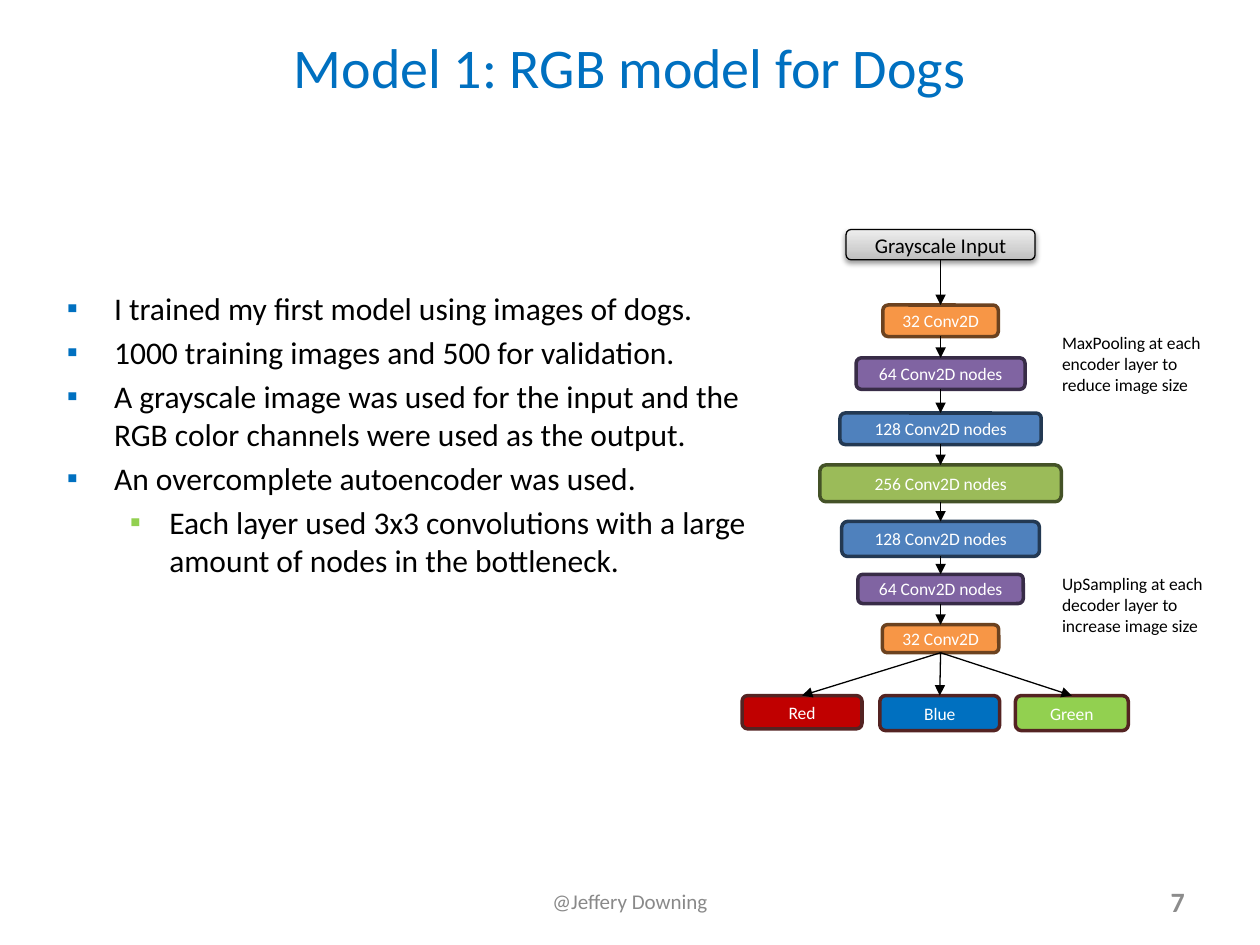
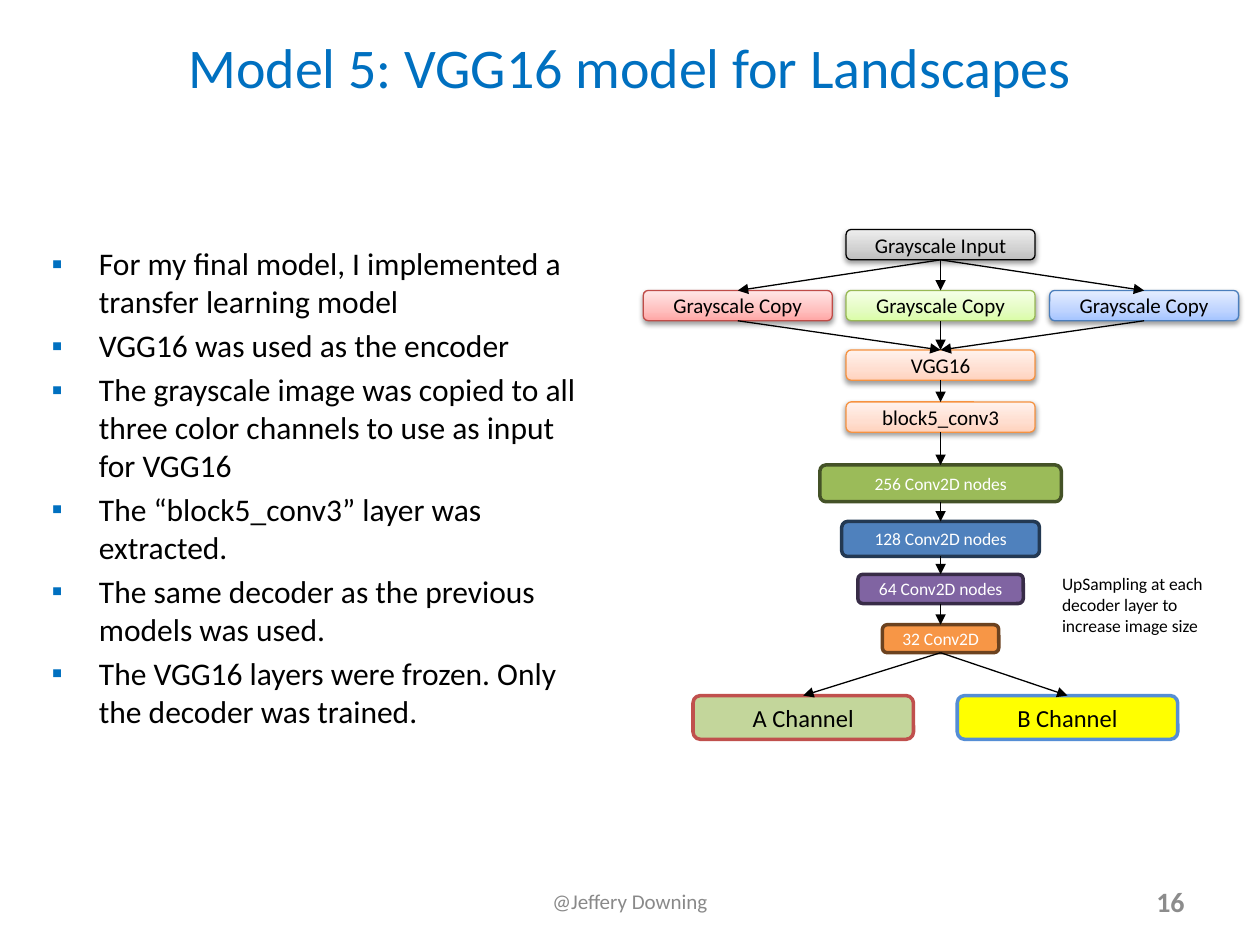
"""Build two slides that describe image colouring models with their network diagrams."""
from copy import deepcopy

from lxml import etree
from pptx import Presentation
from pptx import util as u
from pptx.dml import color
from pptx.enum import shapes, text
from pptx.oxml import ns

Pt = u.Pt
FONT = "Calibri"
AXIS = 537.5
COLOURS = {
    "title": "0070C0", "bullet": "0070C0", "sub_bullet": "92D050",
    "black": "000000", "white": "FFFFFF", "footer": "898989", "number": "8C8C8C",
    "orange": "F79646", "orange_edge": "6C421F",
    "purple": "8064A2", "purple_edge": "382C47",
    "blue": "4F81BD", "blue_edge": "233953",
    "olive": "9BBB59", "olive_edge": "445227",
    "red_out": "C00000", "blue_out": "0070C0", "green_out": "92D050", "rgb_edge": "542322",
    "a_out": "C3D69B", "a_edge": "C0504D", "b_out": "FFFF00", "b_edge": "558ED5",
}
GLOSSY = {
    "grey": ("BDBDBD", "D1D1D1", "EEEEEE", "000000"),
    "red": ("FFA6A5", "FFC0BF", "FFE7E7", "BF4C48"),
    "green": ("DAFDA7", "E4FCC2", "F5FFE7", "98B955"),
    "blue": ("A4C4FF", "BFD4FF", "E6EEFF", "4B7EBC"),
    "peach": ("FFD2BD", "FFDED0", "FFF2ED", "F69240"),
}
ENCODER = [
    ("32 Conv2D", "orange", 174.3, 66, 18),
    ("64 Conv2D nodes", "purple", 204.5, 96.5, 18),
    ("128 Conv2D nodes", "blue", 236, 115, 18),
]
DECODER = [
    ("256 Conv2D nodes", "olive", 265.7, 138, 21),
    ("128 Conv2D nodes", "blue", 298, 113, 20),
    ("64 Conv2D nodes", "purple", 328.2, 94.5, 16.7),
    ("32 Conv2D", "orange", 357, 66.5, 16),
]
OUTPUT_TOP = 397.5


def rgb(value):
    return color.RGBColor.from_string(value)


def style_runs(paragraph, size, colour, bold=False):
    for run in paragraph.runs:
        run.font.name, run.font.size, run.font.bold = FONT, Pt(size), bold
        run.font.color.rgb = rgb(COLOURS[colour])


def place(shape, left, top, width, height):
    shape.left, shape.top, shape.width, shape.height = map(Pt, (left, top, width, height))


def add_label(slide, words, bounds, size, colour, align=text.PP_ALIGN.LEFT,
              anchor=text.MSO_ANCHOR.TOP, bold=False):
    frame = slide.shapes.add_textbox(*map(Pt, bounds)).text_frame
    frame.word_wrap, frame.vertical_anchor = True, anchor
    frame.text = words
    frame.paragraphs[0].alignment = align
    style_runs(frame.paragraphs[0], size, colour, bold)


def add_bullet(paragraph, level):
    margin, indent, colour = [(27, -27, "bullet"), (58.5, -22.5, "sub_bullet")][level]
    properties = paragraph._p.get_or_add_pPr()
    properties.set("marL", str(Pt(margin)))
    properties.set("indent", str(Pt(indent)))
    bullet_colour = etree.SubElement(properties, ns.qn("a:buClr"))
    etree.SubElement(bullet_colour, ns.qn("a:srgbClr"), val=COLOURS[colour])
    etree.SubElement(properties, ns.qn("a:buChar"), char="▪")


def add_points(body, points, bounds):
    place(body, *bounds)
    frame = body.text_frame
    frame.auto_size = text.MSO_AUTO_SIZE.NONE
    for index, (level, words) in enumerate(points):
        point = frame.add_paragraph() if index else frame.paragraphs[0]
        point.text, point.level = words, level
        add_bullet(point, level)
        point.space_before = Pt(3.6 if index else 0)
        style_runs(point, 18, "black")


def start_slide(deck, title, number):
    slide = deck.slides.add_slide(deck.slide_layouts[1])
    heading = slide.shapes.title
    place(heading, 36, 9.5, 648, 56)
    heading.text_frame.text = title
    heading.text_frame.auto_size = text.MSO_AUTO_SIZE.NONE
    style_runs(heading.text_frame.paragraphs[0], 32, "title")
    middle = text.MSO_ANCHOR.MIDDLE
    add_label(slide, number, (516, 500.5, 168, 28.8), 16, "number",
              text.PP_ALIGN.RIGHT, middle, True)
    add_label(slide, "@Jeffery Downing", (246, 500.5, 228, 28.8), 12, "footer",
              text.PP_ALIGN.CENTER, middle)
    return slide


def add_box(slide, words, centre, top, width, height, size, colour):
    box = slide.shapes.add_shape(shapes.MSO_SHAPE.ROUNDED_RECTANGLE, Pt(centre - width / 2),
                                 Pt(top), Pt(width), Pt(height))
    box.shadow.inherit = False
    frame = box.text_frame
    frame.margin_top = frame.margin_bottom = frame.margin_left = frame.margin_right = 0
    frame.vertical_anchor = text.MSO_ANCHOR.MIDDLE
    frame.text = words
    frame.paragraphs[0].alignment = text.PP_ALIGN.CENTER
    style_runs(frame.paragraphs[0], size, colour)
    return box


def add_layer(slide, words, fill, edge, centre, top, width, height, size=10, ink="white"):
    layer = add_box(slide, words, centre, top, width, height, size, ink)
    layer.fill.solid()
    layer.fill.fore_color.rgb = rgb(COLOURS[fill])
    layer.line.color.rgb = rgb(COLOURS[edge])
    layer.line.width = Pt(2)
    return layer


def add_stack(slide, layers):
    return [add_layer(slide, words, hue, f"{hue}_edge", AXIS, top, width, height)
            for words, hue, top, width, height in layers]


def add_glossy(slide, words, hue, top, centre=AXIS):
    glossy = add_box(slide, words, centre, top, 108, 17.3, 12, "black")
    *shades, edge = GLOSSY[hue]
    glossy.fill.gradient()
    glossy.fill.gradient_angle = 90
    stop_list = glossy._element.spPr.find(".//" + ns.qn("a:gsLst"))
    stop_list.insert(1, deepcopy(stop_list[0]))
    for stop, shade, position in zip(glossy.fill.gradient_stops, shades, (0, 0.35, 1)):
        stop.color.rgb, stop.position = rgb(shade), position
    glossy.line.color.rgb = rgb(edge)
    glossy.line.width = Pt(0.75)
    effects = glossy._element.spPr.find(ns.qn("a:effectLst"))
    shadow = etree.SubElement(effects, ns.qn("a:outerShdw"), blurRad=str(Pt(3.1)),
                              dist=str(Pt(1.6)), dir="5400000", rotWithShape="0")
    tint = etree.SubElement(shadow, ns.qn("a:srgbClr"), val=COLOURS["black"])
    etree.SubElement(tint, ns.qn("a:alpha"), val="38000")
    return glossy


def add_arrow(slide, source, target):
    arrow = slide.shapes.add_connector(shapes.MSO_CONNECTOR.STRAIGHT, 0, 0, 0, 0)
    arrow.begin_connect(source, 2)
    arrow.end_connect(target, 0)
    arrow.line.color.rgb = rgb(COLOURS["black"])
    arrow.line.width = Pt(0.75)
    etree.SubElement(arrow.line._get_or_add_ln(), ns.qn("a:tailEnd"), type="triangle")
    etree.SubElement(arrow._element.spPr, ns.qn("a:effectLst"))


def link_chain(slide, chain):
    for source, target in zip(chain, chain[1:]):
        add_arrow(slide, source, target)


def add_side_note(slide, words, top):
    add_label(slide, words, (599.8, top, 97, 42.5), 10, "black")


def add_upsampling_note(slide):
    add_side_note(slide, "UpSampling at each decoder layer to increase image size", 324)


def build_rgb_slide(deck):
    slide = start_slide(deck, "Model 1: RGB model for Dogs", "7")
    add_points(slide.placeholders[1], [
        (0, "I trained my first model using images of dogs."),
        (0, "1000 training images and 500 for validation."),
        (0, "A grayscale image was used for the input and the RGB color channels "
            "were used as the output."),
        (0, "An overcomplete autoencoder was used."),
        (1, "Each layer used 3x3 convolutions with a large amount of nodes in the bottleneck."),
    ], (31, 161.3, 426.2, 194.4))
    grayscale = add_glossy(slide, "Grayscale Input", "grey", 131.2)
    network = [grayscale] + add_stack(slide, ENCODER + DECODER)
    link_chain(slide, network)
    for words, fill, centre, width, height in [
        ("Red", "red_out", 458.3, 68.5, 19),
        ("Blue", "blue_out", 537, 68.5, 20),
        ("Green", "green_out", 612.5, 64.5, 20),
    ]:
        channel = add_layer(slide, words, fill, "rgb_edge", centre, OUTPUT_TOP, width, height)
        add_arrow(slide, network[-1], channel)
    add_side_note(slide, "MaxPooling at each encoder layer to reduce image size", 186)
    add_upsampling_note(slide)


def build_vgg_slide(deck):
    slide = start_slide(deck, "Model 5: VGG16 model for Landscapes", "16")
    add_points(slide.placeholders[1], [(0, words) for words in (
        "For my final model, I implemented a transfer learning model",
        "VGG16 was used as the encoder",
        "The grayscale image was copied to all three color channels to use as input for VGG16",
        "The “block5_conv3” layer was extracted.",
        "The same decoder as the previous models was used.",
        "The VGG16 layers were frozen. Only the decoder was trained.",
    )], (22.3, 136, 324, 293.8))
    grayscale = add_glossy(slide, "Grayscale Input", "grey", 131.2)
    vgg = add_glossy(slide, "VGG16", "peach", 200)
    block = add_glossy(slide, "block5_conv3", "peach", 229.7)
    for hue, centre in [("red", 421.6), ("green", AXIS), ("blue", 653.8)]:
        gray_copy = add_glossy(slide, "Grayscale Copy", hue, 166, centre)
        link_chain(slide, [grayscale, gray_copy, vgg])
    decoder = add_stack(slide, DECODER)
    link_chain(slide, [vgg, block] + decoder)
    for words, hue, centre in [("A Channel", "a", 459), ("B Channel", "b", 610)]:
        channel = add_layer(slide, words, f"{hue}_out", f"{hue}_edge", centre, OUTPUT_TOP,
                            126, 25, 14, "black")
        add_arrow(slide, decoder[-1], channel)
    add_upsampling_note(slide)


def main():
    deck = Presentation()
    deck.slide_width, deck.slide_height = Pt(720), Pt(540)
    build_rgb_slide(deck)
    build_vgg_slide(deck)
    deck.save("out.pptx")


if __name__ == "__main__":
    main()
